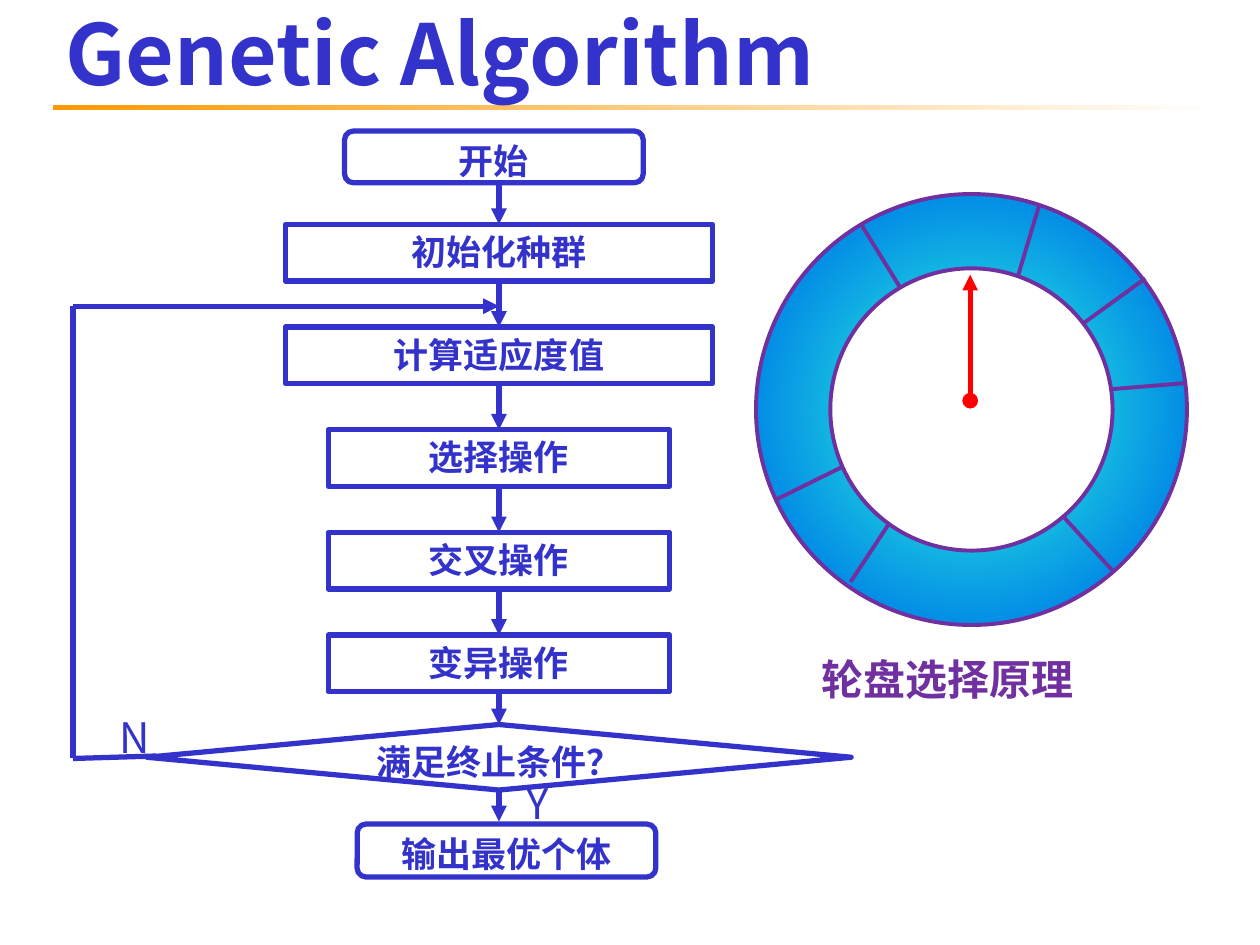
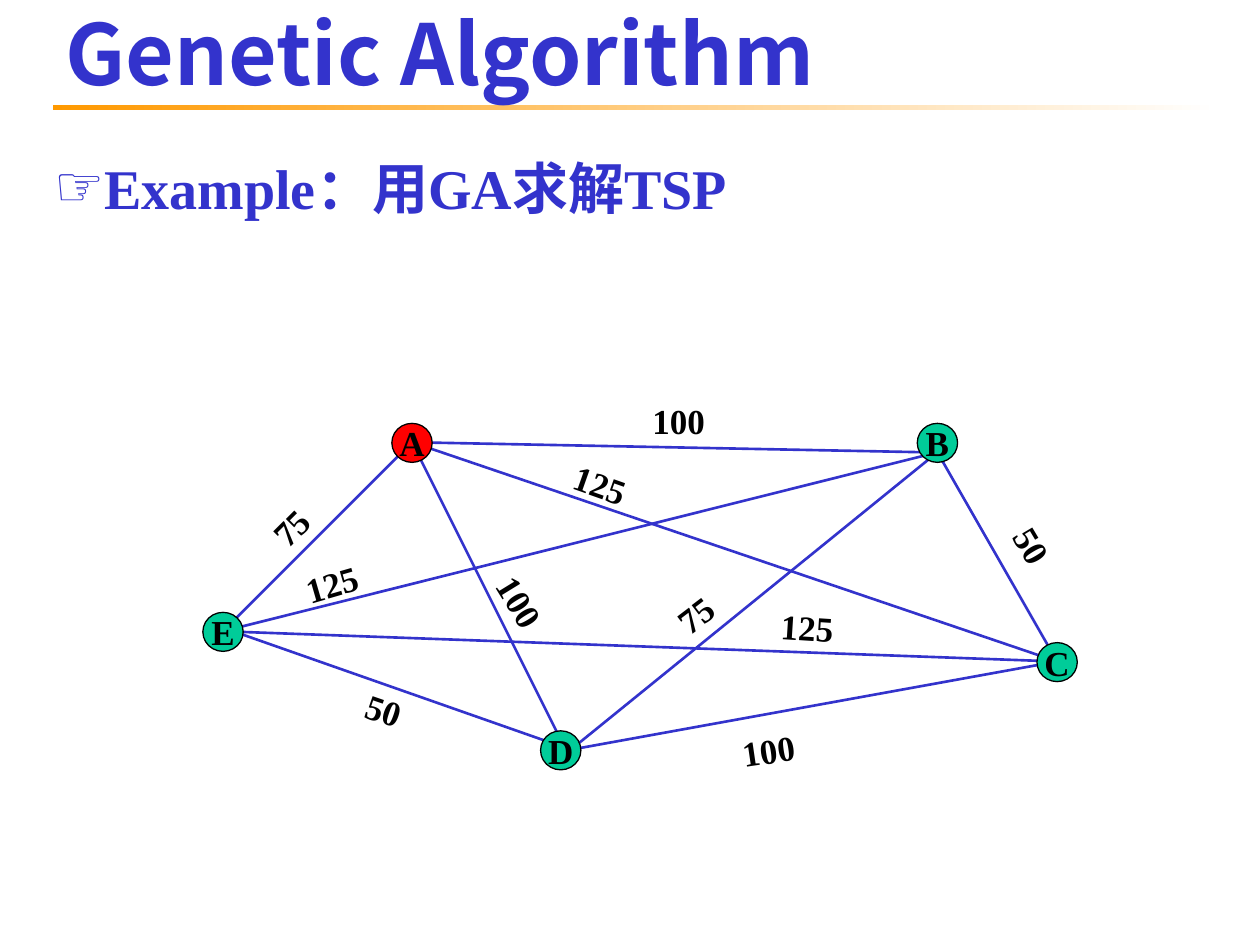
from dataclasses import dataclass

from lxml.etree import SubElement
from pptx import Presentation
from pptx.dml.color import RGBColor
from pptx.enum.shapes import MSO_CONNECTOR, MSO_SHAPE
from pptx.enum.text import MSO_ANCHOR, MSO_AUTO_SIZE, PP_ALIGN
from pptx.oxml.ns import qn
from pptx.util import Inches, Pt


@dataclass(frozen=True)
class Theme:
    blue: str = "3333CC"
    purple: str = "7030A0"
    red: str = "FF0000"
    green: str = "00CC99"
    black: str = "000000"
    white: str = "FFFFFF"
    band: tuple = ((0, "FF9900"), (100, "FFFFFF"))
    ring: tuple = ((0, "03D4A8"), (25, "21D6E0"), (75, "0087E6"), (100, "005CBF"))
    sans: str = "Noto Sans CJK SC"
    serif: str = "Times New Roman"
    title: int = 48
    lead: int = 32
    note: int = 24
    text: int = 20


T = Theme()
AXIS = 3.96
STEPS = [("初始化种群", 3.39), ("计算适应度值", 3.39), ("选择操作", 2.71),
         ("交叉操作", 2.71), ("变异操作", 2.71)]
SPOKES = [((6.84, 1.79), (7.7, 3.18)), ((8.25, 1.62), (7.75, 3.29)),
          ((9.09, 2.21), (7.75, 3.18)), ((9.42, 3.04), (7.7, 3.18)),
          ((8.84, 4.54), (7.7, 3.29)), ((6.75, 4.62), (7.7, 3.18)),
          ((6.17, 3.96), (7.75, 3.18))]
CITIES = {"E": (1.77, 5.01), "A": (3.27, 3.51), "D": (4.45, 5.95),
          "C": (8.39, 5.25), "B": (7.44, 3.51)}
# Roads meet B and D a little off their centres.
ENDS = {**CITIES, "B": (7.44, 3.59), "D": (4.53, 5.95)}
ROADS = [(ENDS[a], ENDS[b]) for a, b in ("EA", "EB", "EC", "AC", "BC", "BD", "CD")]
ROADS += [((1.85, 5.01), ENDS["D"]), (ENDS["A"], (4.53, 6.03)),
          (ENDS["A"], (7.36, 3.59))]
COSTS = [("100", 5.08, 3.12, 0), ("125", 4.45, 3.67, 19.5), ("75", 2.01, 3.83, 315),
         ("125", 2.32, 4.38, 343.8), ("100", 3.76, 4.67, 58.4),
         ("100", 5.79, 5.72, 351.7), ("50", 2.8, 5.48, 19), ("125", 6.1, 4.77, 3.7),
         ("50", 7.86, 4.28, 59.3), ("75", 5.24, 4.54, 322.8)]


def rgb(code):
    return RGBColor.from_string(code)


def style(para, size, color, face=T.sans, bold=True, align=PP_ALIGN.LEFT):
    para.alignment = align
    font = para.font
    font.size, font.bold, font.name = Pt(size), bold, face
    font.color.rgb = rgb(color)
    base = para._p.pPr.find(qn("a:defRPr"))
    SubElement(base, qn("a:ea")).set("typeface", T.sans)


def blend(shape, stops, round=False):
    """Fill with a gradient, from left to right or from the centre outwards."""
    shape.fill.gradient()
    grad = shape._element.spPr.find(qn("a:gradFill"))
    grad.clear()
    row = SubElement(grad, qn("a:gsLst"))
    for place, color in stops:
        stop = SubElement(row, qn("a:gs"), pos=str(place * 1000))
        SubElement(stop, qn("a:srgbClr"), val=color)
    if round:
        way = SubElement(grad, qn("a:path"), path="circle")
        SubElement(way, qn("a:fillToRect"), {side: "50000" for side in "ltrb"})
    else:
        SubElement(grad, qn("a:lin"), ang="0", scaled="0")


def shape(shapes, kind, box, fill=None, line=None, width=3):
    item = shapes.add_shape(kind, *map(Inches, box))
    item.shadow.inherit = False
    if fill:
        item.fill.solid()
        item.fill.fore_color.rgb = rgb(fill)
    else:
        item.fill.background()
    if line:
        item.line.color.rgb = rgb(line)
        item.line.width = Pt(width)
    else:
        item.line.fill.background()
    return item


def link(shapes, start, end, color=T.blue, width=3, head=None, tail=None):
    item = shapes.add_connector(MSO_CONNECTOR.STRAIGHT, *map(Inches, (*start, *end)))
    item.line.color.rgb = rgb(color)
    item.line.width = Pt(width)
    for tag, tip in (("a:headEnd", head), ("a:tailEnd", tail)):
        if tip:
            SubElement(item.line._ln, qn(tag), type=tip)
    SubElement(item._element.spPr, qn("a:effectLst"))
    return item


def step(slide, kind, text, mid, top, width, height=0.45):
    """Add one flowchart box, centred on mid."""
    item = shape(slide.shapes, kind, (mid - width / 2, top, width, height), line=T.blue)
    frame = item.text_frame
    frame.text = text
    frame.vertical_anchor = MSO_ANCHOR.TOP
    style(frame.paragraphs[0], T.text, T.blue, align=PP_ALIGN.CENTER)
    return item


def label(slide, text, box, *look, turn=0, **more):
    item = slide.shapes.add_textbox(*map(Inches, box))
    item.rotation = turn
    item.text_frame.word_wrap = True
    item.text_frame.text = text
    style(item.text_frame.paragraphs[0], *look, **more)


def place(holder, box, text):
    holder.left, holder.top, holder.width, holder.height = map(Inches, box)
    holder.text_frame.text = text
    holder.text_frame.auto_size = MSO_AUTO_SIZE.NONE
    return holder.text_frame


def page(deck, layout):
    slide = deck.slides.add_slide(deck.slide_layouts[layout])
    frame = place(slide.shapes.title, (0.42, 0, 9.58, 0.83), "Genetic Algorithm")
    frame.vertical_anchor = MSO_ANCHOR.MIDDLE
    style(frame.paragraphs[0], T.title, T.blue)
    return slide


def band(deck, slide):
    """Draw the title rule and move it to the slide master."""
    rule = shape(slide.shapes, MSO_SHAPE.RECTANGLE, (0.42, 0.83, 9.25, 0.04))
    blend(rule, T.band)
    deck.slide_master.shapes._spTree.insert(2, rule._element)


def flow(slide):
    shapes = slide.shapes
    cap = MSO_SHAPE.FLOWCHART_ALTERNATE_PROCESS
    step(slide, cap, "开始", 3.92, 1.04, 2.37, 0.41)
    chain = [step(slide, MSO_SHAPE.RECTANGLE, text, AXIS, 1.78 + 3.26 * i / 4, width)
             for i, (text, width) in enumerate(STEPS)]
    test = step(slide, MSO_SHAPE.FLOWCHART_DECISION, "满足终止条件？",
                AXIS, 5.75, 5.59, 0.52)
    test.text_frame.margin_top = test.text_frame.margin_bottom = 0
    chain.append(test)
    step(slide, cap, "输出最优个体", 4.02, 6.54, 2.37, 0.42)

    first = link(shapes, (AXIS, 1.45), (AXIS, 1.78), tail="triangle")
    first.end_connect(chain[0], 0)
    for above, below in zip(chain, chain[1:]):
        arrow = link(shapes, (AXIS, 2), (AXIS, 3), tail="triangle")
        arrow.begin_connect(above, 2)
        arrow.end_connect(below, 0)
    last = link(shapes, (AXIS, 6.27), (AXIS, 6.52), tail="triangle")
    last.begin_connect(test, 2)

    link(shapes, (0.58, 6.02), (1.24, 6))
    link(shapes, (0.58, 6.02), (0.58, 2.43))
    link(shapes, (0.58, 2.43), (AXIS, 2.43), tail="triangle")
    for text, left, top in (("Y", 4.08, 6.12), ("N", 0.85, 5.6)):
        label(slide, text, (left, top, 0.92, 0.5), T.note, T.blue, bold=False)


def wheel(slide):
    parts = slide.shapes.add_group_shape().shapes
    ring = shape(parts, MSO_SHAPE.OVAL, (6, 1.54, 3.42, 3.42), line=T.purple, width=2.25)
    blend(ring, T.ring, round=True)
    for rim, core in SPOKES:
        link(parts, rim, core, T.purple, 2.25)
    shape(parts, MSO_SHAPE.OVAL, (6.59, 2.13, 2.24, 2.24), T.white, T.purple, 2.25)
    link(slide.shapes, (7.7, 3.18), (7.7, 2.18), T.red, head="oval", tail="triangle")
    label(slide, "轮盘选择原理", (5.52, 5.14, 4, 0.5), T.note, T.purple, T.serif,
          align=PP_ALIGN.CENTER)


def lead(slide, text):
    frame = place(slide.placeholders[1], (0.33, 1.17, 9.33, 6.08), text)
    para = frame.paragraphs[0]
    para.space_before = Pt(0)
    props = para._p.get_or_add_pPr()
    props.set("marL", str(Inches(0.38)))
    props.set("indent", str(Inches(-0.38)))
    SubElement(props, qn("a:buChar"), char="☞")
    style(para, T.lead, T.blue, T.serif)


def graph(slide):
    for start, end in ROADS:
        link(slide.shapes, start, end, width=1.5)
    for name, (x, y) in CITIES.items():
        dot = shape(slide.shapes, MSO_SHAPE.OVAL, (x - 0.16, y - 0.15, 0.32, 0.31),
                    T.red if name == "A" else T.green, T.black, 0.75)
        frame = dot.text_frame
        frame.text = name
        frame.word_wrap = False
        frame.vertical_anchor = MSO_ANCHOR.MIDDLE
        style(frame.paragraphs[0], T.text, T.black, T.serif, align=PP_ALIGN.CENTER)
    for cost, left, top, turn in COSTS:
        label(slide, cost, (left, top, 0.87, 0.43), T.text, T.black, T.serif, turn=turn)


def main():
    deck = Presentation()
    deck.slide_width, deck.slide_height = Inches(10), Inches(7.5)
    chart = page(deck, 5)
    band(deck, chart)
    flow(chart)
    wheel(chart)
    tour = page(deck, 1)
    lead(tour, "Example：用GA求解TSP")
    graph(tour)
    deck.save("out.pptx")


if __name__ == "__main__":
    main()
